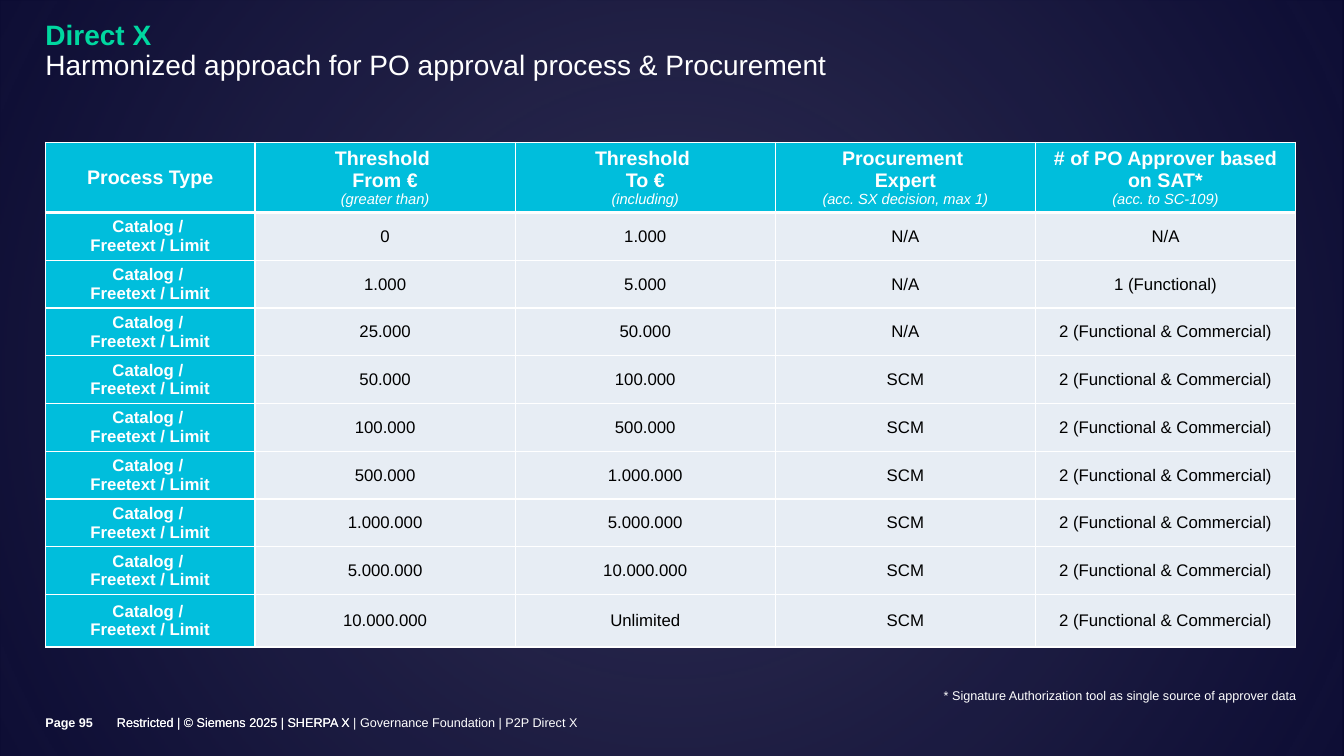
from lxml import etree
from pptx import Presentation
from pptx.dml.color import RGBColor
from pptx.enum.shapes import MSO_SHAPE
from pptx.enum.text import MSO_ANCHOR as Anchor, MSO_AUTO_SIZE as AutoSize, PP_ALIGN as Align
from pptx.oxml import parse_xml
from pptx.oxml.ns import qn
from pptx.util import Inches, Pt

NAMESPACE = 'xmlns:a="http://schemas.openxmlformats.org/drawingml/2006/main"'
WHITE, CYAN, PALE, GREEN = "FFFFFF", "00BEDC", "E7EDF4", "00D7A0"


def color(value):
    return RGBColor.from_string(value)


def style(font, size, value, bold=False, italic=False):
    font.name = "Arial"
    font.size = Pt(size)
    font.color.rgb = color(value)
    font.bold = bold
    font.italic = italic


deck = Presentation()
deck.slide_width, deck.slide_height = Inches(13.33), Inches(7.5)
page = deck.slides.add_slide(deck.slide_layouts[5])
page.background.fill.solid()
page.background.fill.fore_color.rgb = color("000028")

glow = page.shapes.add_shape(MSO_SHAPE.RECTANGLE, 0, 0, deck.slide_width, deck.slide_height)
glow.shadow.inherit = False
glow.line.fill.background()
gradient = parse_xml(
    f'<a:gradFill {NAMESPACE} rotWithShape="1"><a:gsLst>'
    '<a:gs pos="0"><a:srgbClr val="333255"><a:alpha val="90000"/></a:srgbClr></a:gs>'
    '<a:gs pos="99000"><a:srgbClr val="0E0E35"/></a:gs></a:gsLst>'
    '<a:path path="circle"><a:fillToRect l="50000" t="50000" r="50000" b="50000"/></a:path>'
    '</a:gradFill>')
glow.element.spPr.find(qn("a:prstGeom")).addnext(gradient)
page.shapes[0].element.addprevious(glow.element)

title = page.shapes.title
title.left, title.top = Inches(0.45), Inches(0.2)
title.width, title.height = Inches(12.06), Inches(0.63)
frame = title.text_frame
frame.auto_size = AutoSize.NONE
frame.vertical_anchor = Anchor.BOTTOM
frame.margin_left = frame.margin_top = 0
frame.margin_right, frame.margin_bottom = Inches(0.35), Inches(0.02)
para = frame.paragraphs[0]
para.alignment = Align.LEFT
para.line_spacing = 0.9
span = para.add_run()
span.text = "Direct X"
style(span.font, 20, GREEN, bold=True)
para.add_line_break()
span = para.add_run()
span.text = "Harmonized approach for PO approval process & Procurement"
style(span.font, 20, WHITE)

headers = [
    ["Process Type"],
    ["Threshold \vFrom €", "(greater than)"],
    ["Threshold \vTo €", "(including)"],
    ["Procurement \vExpert", "(acc. SX decision, max 1)"],
    ["# of PO Approver based on SAT*", "(acc. to SC-109)"],
]
both = "2 (Functional & Commercial)"
approvals = [
    ("0", "1.000", "N/A", "N/A"),
    ("1.000", "5.000", "N/A", "1 (Functional)"),
    ("25.000", "50.000", "N/A", both),
    ("50.000", "100.000", "SCM", both),
    ("100.000", "500.000", "SCM", both),
    ("500.000", "1.000.000", "SCM", both),
    ("1.000.000", "5.000.000", "SCM", both),
    ("5.000.000", "10.000.000", "SCM", both),
    ("10.000.000", "Unlimited", "SCM", both),
]
rows = [headers]
for values in approvals:
    rows.append([["Catalog / ", "Freetext / Limit"]] + [[value] for value in values])

table = page.shapes.add_table(len(rows), 5, Inches(0.45), Inches(1.41),
                              Inches(12.4), Inches(4.79)).table
table.first_row = table.horz_banding = False
for column, width in zip(table.columns, [2.08] + [2.58] * 4):
    column.width = Inches(width)
for row, height in zip(table.rows, [0.67] + [0.45] * 8 + [0.52]):
    row.height = Inches(height)

for row_index, row in enumerate(rows):
    for column_index, lines in enumerate(row):
        cell = table.cell(row_index, column_index)
        is_header = row_index == 0
        is_label = is_header or column_index == 0
        cell.vertical_anchor = Anchor.MIDDLE
        properties = cell._tc.get_or_add_tcPr()
        for side in "LRTB":
            thick = (is_header and side == "B") or (row_index == 1 and side == "T")
            border = etree.SubElement(properties, qn(f"a:ln{side}"), w=str(Pt(3 if thick else 1)))
            paint = etree.SubElement(border, qn("a:solidFill"))
            etree.SubElement(paint, qn("a:srgbClr"), val=WHITE)
        cell.fill.solid()
        cell.fill.fore_color.rgb = color(CYAN if is_label else PALE)
        for line_index, line in enumerate(lines):
            frame = cell.text_frame
            para = frame.add_paragraph() if line_index else frame.paragraphs[0]
            para.text = line
            para.alignment = Align.CENTER
            if is_header and line_index:
                style(para.font, 10.5, WHITE, italic=True)
            else:
                style(para.font, 14 if is_header else 12, WHITE if is_label else "000000", bold=is_label)

restricted = "Restricted | © Siemens 2025 | SHERPA X"
notes = [
    ("* Signature Authorization tool as single source of approver data",
     9.36, 6.82, 3.58, 0.15, Anchor.TOP, 0, False),
    (restricted + " | Governance Foundation | P2P Direct X",
     1.16, 6.9, 10.08, 0.6, Anchor.MIDDLE, 0.07, False),
    (restricted, 1.16, 6.9, 10.08, 0.6, Anchor.MIDDLE, 0.07, False),
    ("Page 95", 0.45, 6.9, 0.71, 0.6, Anchor.MIDDLE, 0.07, True),
]
for text, left, top, width, height, anchor, bottom, bold in notes:
    box = page.shapes.add_textbox(Inches(left), Inches(top), Inches(width), Inches(height))
    frame = box.text_frame
    frame.word_wrap = True
    frame.vertical_anchor = anchor
    frame.margin_left = frame.margin_top = frame.margin_right = 0
    frame.margin_bottom = Inches(bottom)
    para = frame.paragraphs[0]
    para.text = text
    style(para.font, 9, WHITE, bold=bold)

deck.save("out.pptx")
